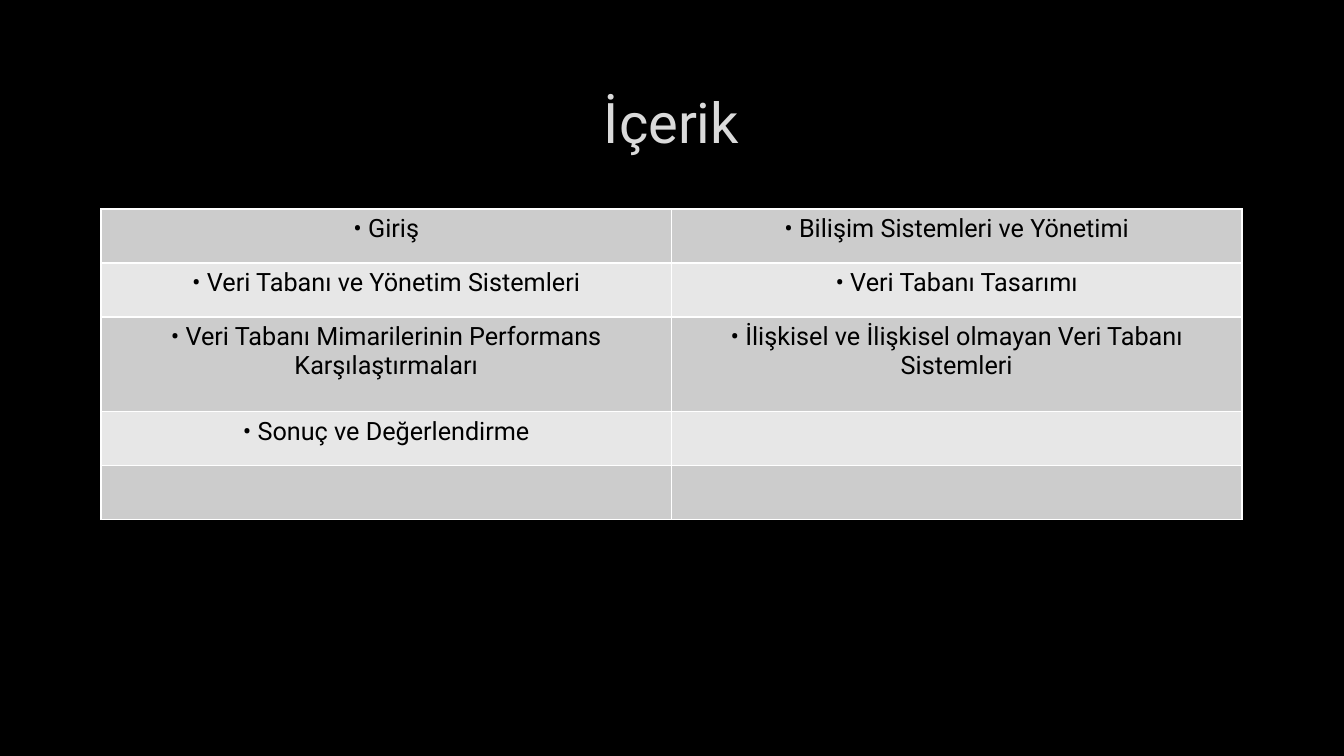
"""Build the contents slide: a centred title above a two-column table of topics."""
from dataclasses import dataclass
from itertools import product

from lxml.etree import SubElement
from pptx import Presentation
from pptx.dml.color import RGBColor
from pptx.enum.text import MSO_ANCHOR, PP_ALIGN
from pptx.oxml.ns import qn
from pptx.util import Emu, Pt

HEADING = "İçerik"
TOPICS = [
    ("Giriş", "Bilişim Sistemleri ve Yönetimi"),
    ("Veri Tabanı ve Yönetim Sistemleri", "Veri Tabanı Tasarımı"),
    ("Veri Tabanı Mimarilerinin Performans Karşılaştırmaları",
     "İlişkisel ve İlişkisel olmayan Veri Tabanı Sistemleri"),
    ("Sonuç ve Değerlendirme", ""),
    ("", ""),
]
SLIDE_SIZE = (1344, 756)
LEFT, CONTENT_WIDTH = 101, 1141
HEADING_TOP, HEADING_HEIGHT = 68, 107
TOPICS_TOP = 209
ROW_HEIGHTS = [54, 54, 95, 54, 54]


@dataclass(frozen=True)
class Theme:
    font: str = "Roboto"
    background: str = "000000"
    heading: str = "DADADA"
    topic: str = "000000"
    border: str = "FFFFFF"
    bands: tuple = ("CCCCCC", "E7E7E7")
    heading_size: int = 40
    topic_size: int = 18
    border_width: int = 1


THEME = Theme()


def px(length):
    return Emu(round(length * 914400 / 100.8))


def write(frame, text, *, size, color):
    frame.word_wrap = True
    paragraph = frame.paragraphs[0]
    paragraph.alignment = PP_ALIGN.CENTER
    paragraph.font.size = Pt(size)
    if text:
        run = paragraph.add_run()
        run.text = text
        run.font.name = THEME.font
        run.font.size = Pt(size)
        run.font.color.rgb = RGBColor.from_string(color)


def add_borders(cell):
    properties = cell._tc.get_or_add_tcPr()
    for side in ("lnL", "lnR", "lnT", "lnB"):
        line = SubElement(properties, qn(f"a:{side}"), w=str(Pt(THEME.border_width)))
        fill = SubElement(line, qn("a:solidFill"))
        SubElement(fill, qn("a:srgbClr"), val=THEME.border)


def add_heading(slide):
    heading = slide.shapes.add_textbox(
        px(LEFT), px(HEADING_TOP), px(CONTENT_WIDTH), px(HEADING_HEIGHT))
    heading.text_frame.vertical_anchor = MSO_ANCHOR.MIDDLE
    write(heading.text_frame, HEADING, size=THEME.heading_size, color=THEME.heading)


def add_topics(slide):
    row_count, column_count = len(TOPICS), len(TOPICS[0])
    topics = slide.shapes.add_table(
        row_count, column_count, px(LEFT), px(TOPICS_TOP),
        px(CONTENT_WIDTH), px(sum(ROW_HEIGHTS))).table
    topics.first_row = topics.horz_banding = False
    for row, height in zip(topics.rows, ROW_HEIGHTS):
        row.height = px(height)
    for r, c in product(range(row_count), range(column_count)):
        cell, topic = topics.cell(r, c), TOPICS[r][c]
        add_borders(cell)
        cell.fill.solid()
        cell.fill.fore_color.rgb = RGBColor.from_string(THEME.bands[r % 2])
        write(cell.text_frame, f"• {topic}" if topic else "",
              size=THEME.topic_size, color=THEME.topic)


def main():
    deck = Presentation()
    deck.slide_width, deck.slide_height = map(px, SLIDE_SIZE)
    slide = deck.slides.add_slide(deck.slide_layouts[6])
    slide.background.fill.solid()
    slide.background.fill.fore_color.rgb = RGBColor.from_string(THEME.background)
    add_heading(slide)
    add_topics(slide)
    deck.save("out.pptx")


if __name__ == "__main__":
    main()
